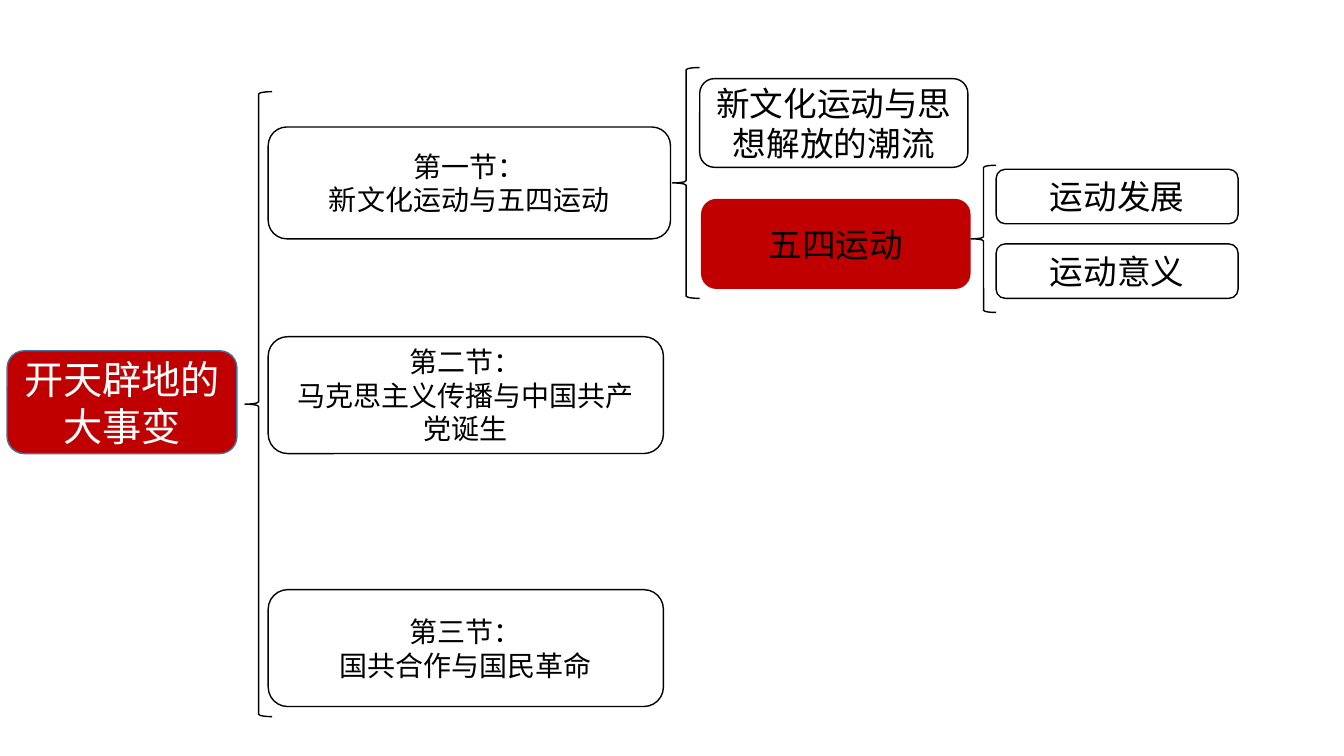
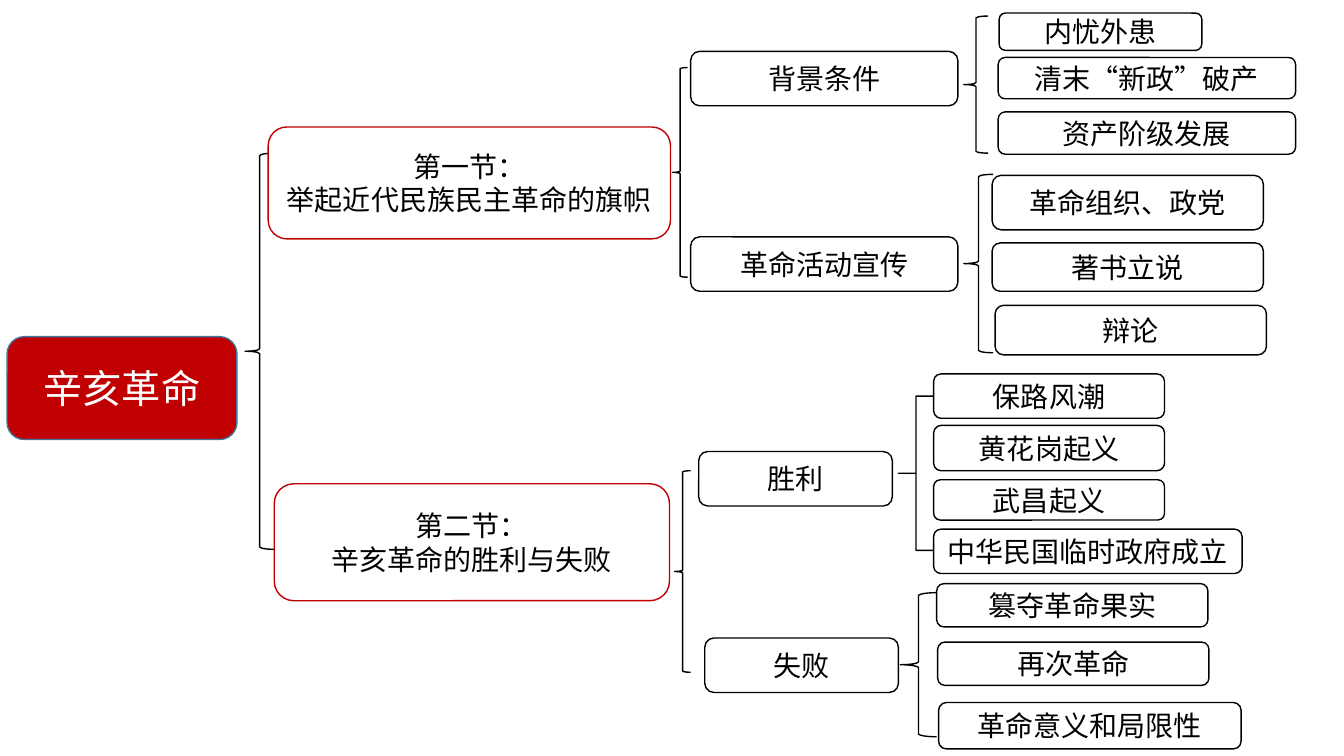
from pptx import Presentation
from pptx.dml.color import RGBColor
from pptx.enum.shapes import MSO_SHAPE
from pptx.enum.text import MSO_ANCHOR, PP_ALIGN
from pptx.oxml import parse_xml
from pptx.oxml.ns import nsdecls
from pptx.util import Inches, Pt

COLORS = {"red": "C00000", "blue": "43739E", "black": "000000", "white": "FFFFFF"}
FONT = "Noto Sans CJK SC"


class MindMap:
    """Draws mind map slides from rounded topic boxes and left braces."""

    def __init__(self):
        self.deck = Presentation()
        self.deck.slide_width = Inches(13.33)
        self.deck.slide_height = Inches(7.5)
        self.page = None

    def color(self, name):
        return RGBColor.from_string(COLORS[name])

    def add_page(self):
        self.page = self.deck.slides.add_slide(self.deck.slide_layouts[6])

    def add_outline(self, preset, place, fill, line):
        shape = self.page.shapes.add_shape(preset, *map(Inches, place))
        shape.shadow.inherit = False
        if fill:
            shape.fill.solid()
            shape.fill.fore_color.rgb = self.color(fill)
        else:
            shape.fill.background()
        shape.line.color.rgb = self.color(line)
        shape.line.width = Pt(1)
        return shape

    def add_topic(self, text, place, size=20, fill=None, line="black", ink="black"):
        box = self.add_outline(MSO_SHAPE.ROUNDED_RECTANGLE, place, fill, line)
        frame = box.text_frame
        frame.word_wrap = True
        frame.vertical_anchor = MSO_ANCHOR.MIDDLE
        frame.text = text
        for para in frame.paragraphs:
            para.alignment = PP_ALIGN.CENTER
            para.line_spacing = Pt(size * 1.2)
            for span in para.runs:
                span.font.size = Pt(size)
                span.font.name = FONT
                span.font.color.rgb = self.color(ink)
                east_asian = parse_xml(f'<a:ea {nsdecls("a")} typeface="{FONT}"/>')
                span.font._element.append(east_asian)

    def add_root(self, text, top):
        self.add_topic(text, (0.07, top, 2.28, 1.02), 28, "red", "blue", "white")

    def add_brace(self, *place, square=False):
        brace = self.add_outline(MSO_SHAPE.LEFT_BRACE, place, None, "black")
        if square:
            brace.adjustments[0] = 0

    def add_column(self, left, width, topics, **style):
        for text, top, height in topics:
            self.add_topic(text, (left, top, width, height), **style)


def draw_founding(chart):
    """Draw the map of the great founding events."""
    chart.add_page()
    chart.add_root("开天辟地的大事变", 3.48)
    chart.add_brace(2.43, 0.91, 0.27, 6.2)
    chart.add_topic("第一节：\n新文化运动与五四运动", (2.66, 1.26, 3.99, 1.11))
    chart.add_column(2.66, 3.92, [
        ("第二节：\n马克思主义传播与中国共产党诞生", 3.34, 1.16),
        ("第三节：\n国共合作与国民革命", 5.85, 1.16),
    ], fill="white")
    chart.add_brace(6.67, 0.67, 0.27, 2.29)
    chart.add_topic("新文化运动与思想解放的潮流", (6.94, 0.78, 2.66, 0.88), 24)
    chart.add_topic("五四运动", (6.96, 1.98, 2.66, 0.88), 24, "red", "red")
    chart.add_brace(9.63, 1.64, 0.25, 1.46)
    chart.add_column(9.88, 2.4, [
        ("运动发展", 1.68, 0.54),
        ("运动意义", 2.42, 0.54),
    ], size=24)


def draw_revolution(chart):
    """Draw the map of the 1911 revolution."""
    chart.add_page()
    chart.add_root("辛亥革命", 3.34)
    chart.add_brace(2.43, 1.52, 0.29, 3.93)
    section = {"fill": "white", "line": "red"}
    chart.add_topic("第一节：\n举起近代民族民主革命的旗帜", (2.66, 1.26, 3.99, 1.11), **section)
    chart.add_topic("第二节：\n辛亥革命的胜利与失败", (2.72, 4.8, 3.92, 1.16), **section)

    chart.add_brace(6.67, 0.67, 0.15, 2.08)
    chart.add_column(6.85, 2.65, [
        ("背景条件", 0.51, 0.54),
        ("革命活动宣传", 2.35, 0.54),
    ])
    chart.add_brace(6.69, 4.67, 0.16, 2)
    chart.add_topic("胜利", (6.93, 4.48, 1.92, 0.54))
    chart.add_topic("失败", (6.99, 6.33, 1.92, 0.54))

    chart.add_brace(9.56, 0.16, 0.24, 1.36)
    chart.add_topic("内忧外患", (9.91, 0.13, 2.01, 0.37))
    chart.add_column(9.9, 2.95, [
        ("清末“新政”破产", 0.57, 0.41),
        ("资产阶级发展", 1.11, 0.42),
    ])

    chart.add_brace(9.56, 1.73, 0.29, 1.77)
    chart.add_column(9.84, 2.69, [
        ("革命组织、政党", 1.74, 0.54),
        ("著书立说", 2.41, 0.48),
    ])
    chart.add_topic("辩论", (9.87, 3.03, 2.69, 0.49))

    chart.add_brace(8.91, 3.93, 0.35, 1.53, square=True)
    chart.add_column(9.26, 2.29, [
        ("保路风潮", 3.71, 0.44),
        ("黄花岗起义", 4.22, 0.45),
        ("武昌起义", 4.76, 0.4),
    ])
    chart.add_topic("中华民国临时政府成立", (9.26, 5.25, 3.06, 0.44))

    chart.add_brace(8.93, 5.88, 0.36, 1.43)
    chart.add_topic("篡夺革命果实", (9.29, 5.79, 2.69, 0.43))
    chart.add_topic("再次革命", (9.3, 6.37, 2.69, 0.43))
    chart.add_topic("革命意义和局限性", (9.31, 6.97, 3, 0.46))


def main():
    """Build both mind maps and save the deck."""
    chart = MindMap()
    draw_founding(chart)
    draw_revolution(chart)
    chart.deck.save("out.pptx")


if __name__ == "__main__":
    main()
